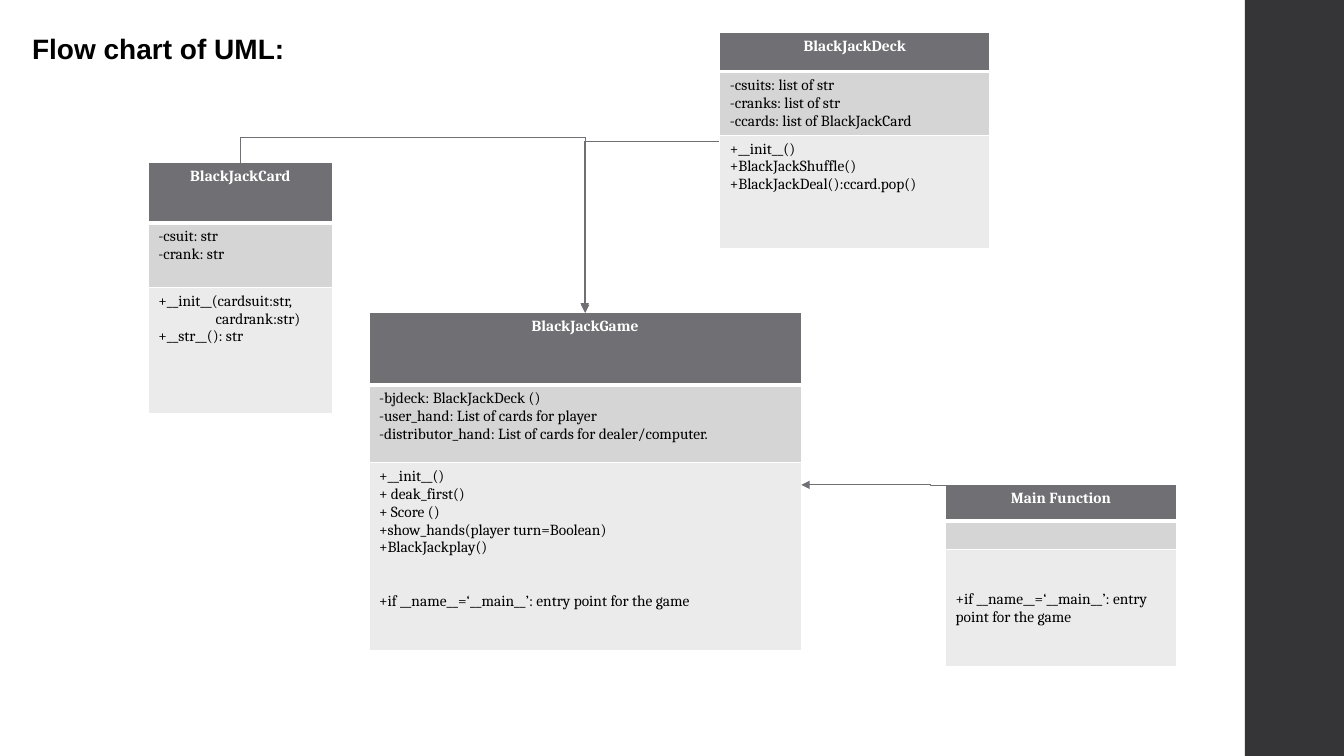
from lxml.etree import SubElement
from pptx import Presentation
from pptx.dml.color import RGBColor
from pptx.enum.shapes import MSO_CONNECTOR, MSO_SHAPE
from pptx.enum.text import PP_ALIGN
from pptx.oxml.ns import qn
from pptx.util import Inches, Pt

COLORS = {
    "header": "6F6F74",
    "attributes": "D5D5D6",
    "methods": "EBEBEB",
    "sidebar": "353537",
    "white": "FFFFFF",
    "black": "000000",
}
GRID_STEP = Inches(0.1)
COLUMNS, ROWS = 133.33, 75
TEXT_SIZE = 11
TWO_LINES = Pt(25.8)
CARD_INDENT = 5.7
ENTRY_POINT = "+if __name__=‘__main__’: entry point for the game"


def grid(steps):
    return round(steps * GRID_STEP)


def color(name):
    return RGBColor.from_string(COLORS[name])


def style_font(font, name, size, color_name, bold):
    font.name = name
    font.size = Pt(size)
    font.bold = bold
    font.color.rgb = color(color_name)


def add_sidebar(slide):
    shape = slide.shapes.add_shape(
        MSO_SHAPE.RECTANGLE, grid(123.5), 0, grid(COLUMNS - 123.5), grid(ROWS))
    shape.shadow.inherit = False
    shape.fill.solid()
    shape.fill.fore_color.rgb = color("sidebar")
    shape.line.fill.background()


def add_title(slide, text):
    box = slide.shapes.add_textbox(grid(2.2), grid(2.6), grid(46.4), grid(4.4))
    box.text_frame.word_wrap = True
    paragraph = box.text_frame.paragraphs[0]
    paragraph.text = text
    style_font(paragraph.font, "Arial", 20, "black", True)


def set_borders(cell, top, bottom):
    properties = cell._tc.get_or_add_tcPr()
    for side, width in (("L", 1), ("R", 1), ("T", top), ("B", bottom)):
        line = SubElement(properties, qn(f"a:ln{side}"), w=str(Pt(width)))
        fill = SubElement(line, qn("a:solidFill"))
        SubElement(fill, qn("a:srgbClr"), val=COLORS["white"])


def fill_cell(cell, lines, fill_name, is_header):
    cell.fill.solid()
    cell.fill.fore_color.rgb = color(fill_name)
    frame = cell.text_frame
    frame.text = "\n".join(lines)
    for paragraph in frame.paragraphs:
        if is_header:
            paragraph.alignment = PP_ALIGN.CENTER
        style_font(paragraph.font, "Cambria", TEXT_SIZE,
                   "white" if is_header else "black", is_header)
        if not paragraph.runs:
            ending = paragraph._p.get_or_add_endParaRPr()
            ending.set("sz", str(TEXT_SIZE * 100))


def add_class(slide, left, top, width, heights, name, attributes, methods):
    frame = slide.shapes.add_table(
        3, 1, grid(left), grid(top), grid(width), grid(sum(heights)))
    table = frame.table
    table.horz_banding = False
    sections = (
        ([name], "header", 1, 3),
        (attributes, "attributes", 3, 1),
        (methods, "methods", 1, 1),
    )
    for index, (lines, fill_name, top_border, bottom_border) in enumerate(sections):
        table.rows[index].height = grid(heights[index])
        cell = table.cell(index, 0)
        set_borders(cell, top_border, bottom_border)
        fill_cell(cell, lines, fill_name, index == 0)
    return table.cell(2, 0)


def add_elbow(slide, left, top, width, height, rotation,
              flip=None, preset="bentConnector3", bend=None):
    connector = slide.shapes.add_connector(
        MSO_CONNECTOR.ELBOW, grid(left), grid(top),
        grid(left + width), grid(top + height))
    properties = connector._element.spPr
    properties.xfrm.set("rot", str(rotation * 60000))
    if flip:
        properties.xfrm.set(flip, "1")
    geometry = properties.find(qn("a:prstGeom"))
    geometry.set("prst", preset)
    if bend is not None:
        guides = geometry.find(qn("a:avLst"))
        SubElement(guides, qn("a:gd"), name="adj1", fmla=f"val {round(bend * 100000)}")
    connector.line.color.rgb = color("header")
    connector.line.width = Pt(0.75)
    SubElement(connector.line._get_or_add_ln(), qn("a:tailEnd"), type="triangle")
    SubElement(properties, qn("a:effectLst"))


def main():
    presentation = Presentation()
    presentation.slide_width = grid(COLUMNS)
    presentation.slide_height = grid(ROWS)
    slide = presentation.slides.add_slide(presentation.slide_layouts[6])
    add_sidebar(slide)

    card_methods = add_class(
        slide, 14.7, 16.1, 18.3, (6, 6.4, 12.5), "BlackJackCard",
        ["-csuit: str", "-crank: str"],
        ["+__init__(cardsuit:str,", "cardrank:str)", "+__str__(): str"])
    continuation = card_methods.text_frame.paragraphs[1]
    continuation._p.get_or_add_pPr().set("marL", str(grid(CARD_INDENT)))

    add_class(
        slide, 71.4, 3.2, 26.8, (3.9, 6.3, 11.3), "BlackJackDeck",
        ["-csuits: list of str", "-cranks: list of str",
         "-ccards: list of BlackJackCard"],
        ["+__init__()", "+BlackJackShuffle()", "+BlackJackDeal():ccard.pop()"])

    game_methods = add_class(
        slide, 36.6, 31, 42.9, (7.2, 7.7, 18.7), "BlackJackGame",
        ["-bjdeck: BlackJackDeck ()", "-user_hand: List of cards for player",
         "-distributor_hand: List of cards for dealer/computer."],
        ["+__init__()", "+ deak_first()", "+ Score ()",
         "+show_hands(player turn=Boolean)", "+BlackJackplay()", ENTRY_POINT])
    game_methods.text_frame.paragraphs[-1].space_before = TWO_LINES

    main_methods = add_class(
        slide, 93.8, 48.1, 22.9, (3.6, 2.8, 11.6), "Main Function",
        [], [ENTRY_POINT])
    main_methods.margin_top = Inches(0.05) + TWO_LINES

    add_elbow(slide, 33.5, 6.5, 14.9, 34.2, 270, "flipH", bend=-0.168)
    add_elbow(slide, 58, 14, 13.3, 16.9, 180, "flipV", "bentConnector2")
    add_elbow(slide, 79.5, 48.1, 25.7, 0.1, 180)
    add_title(slide, "Flow chart of UML:")
    presentation.save("out.pptx")


if __name__ == "__main__":
    main()
